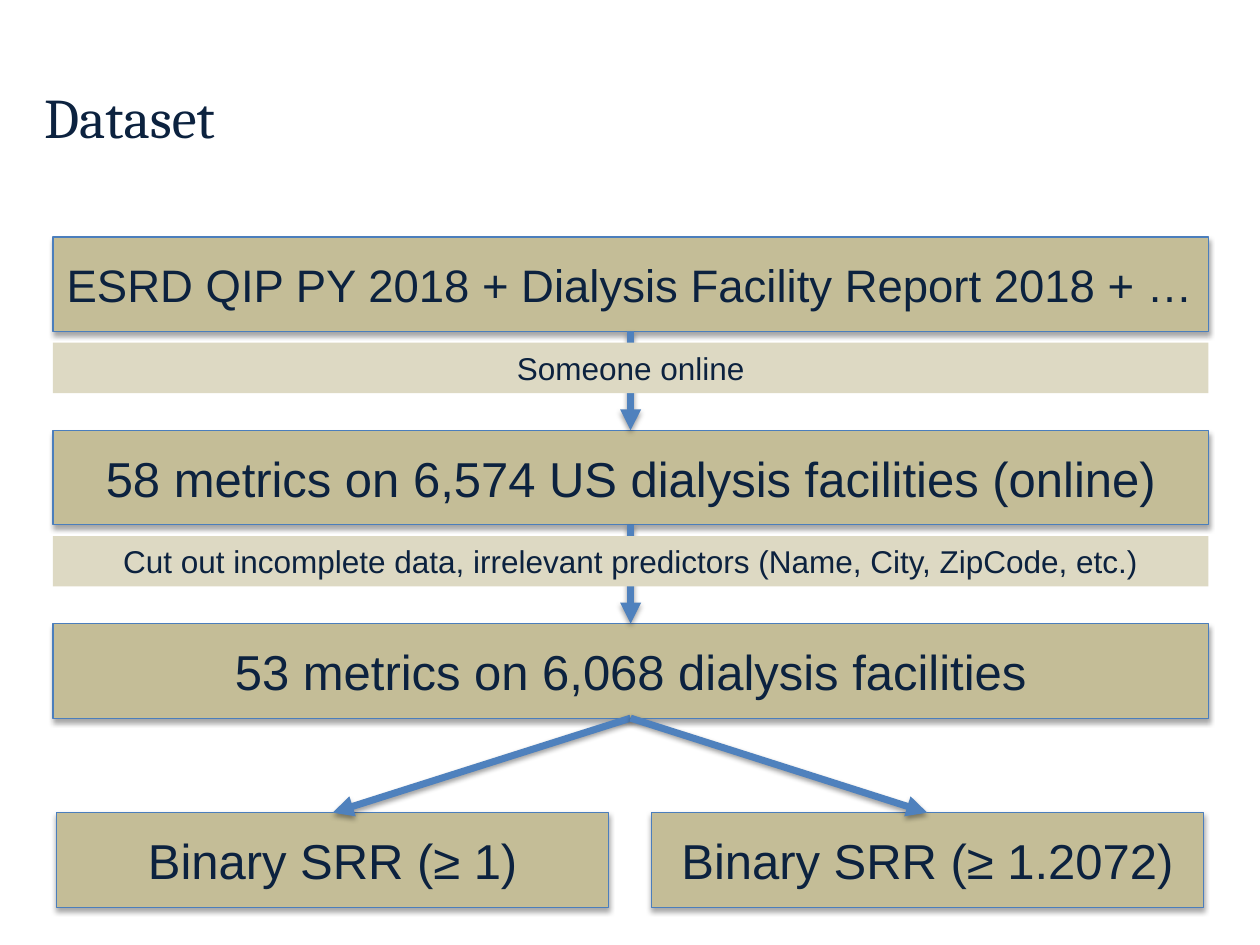
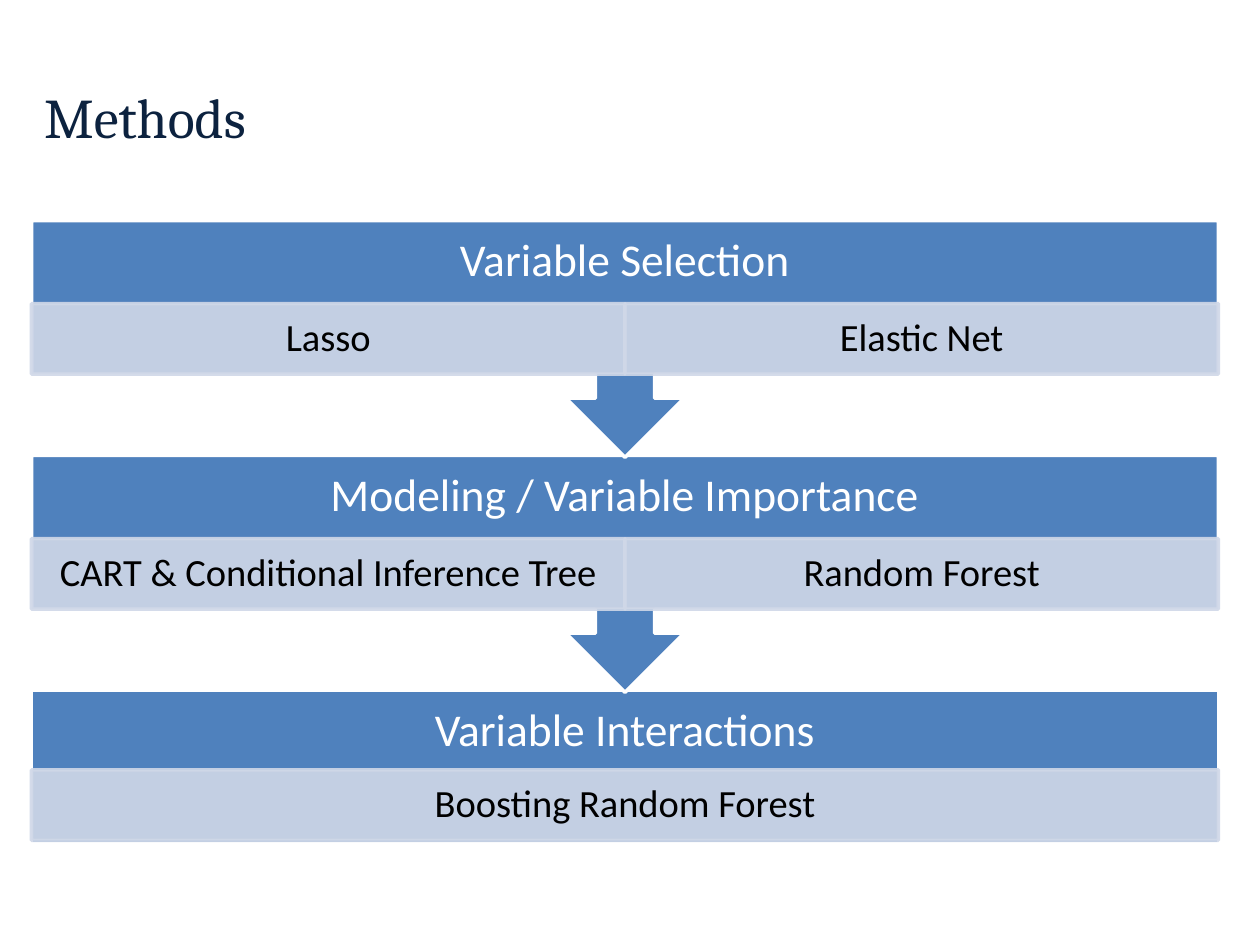
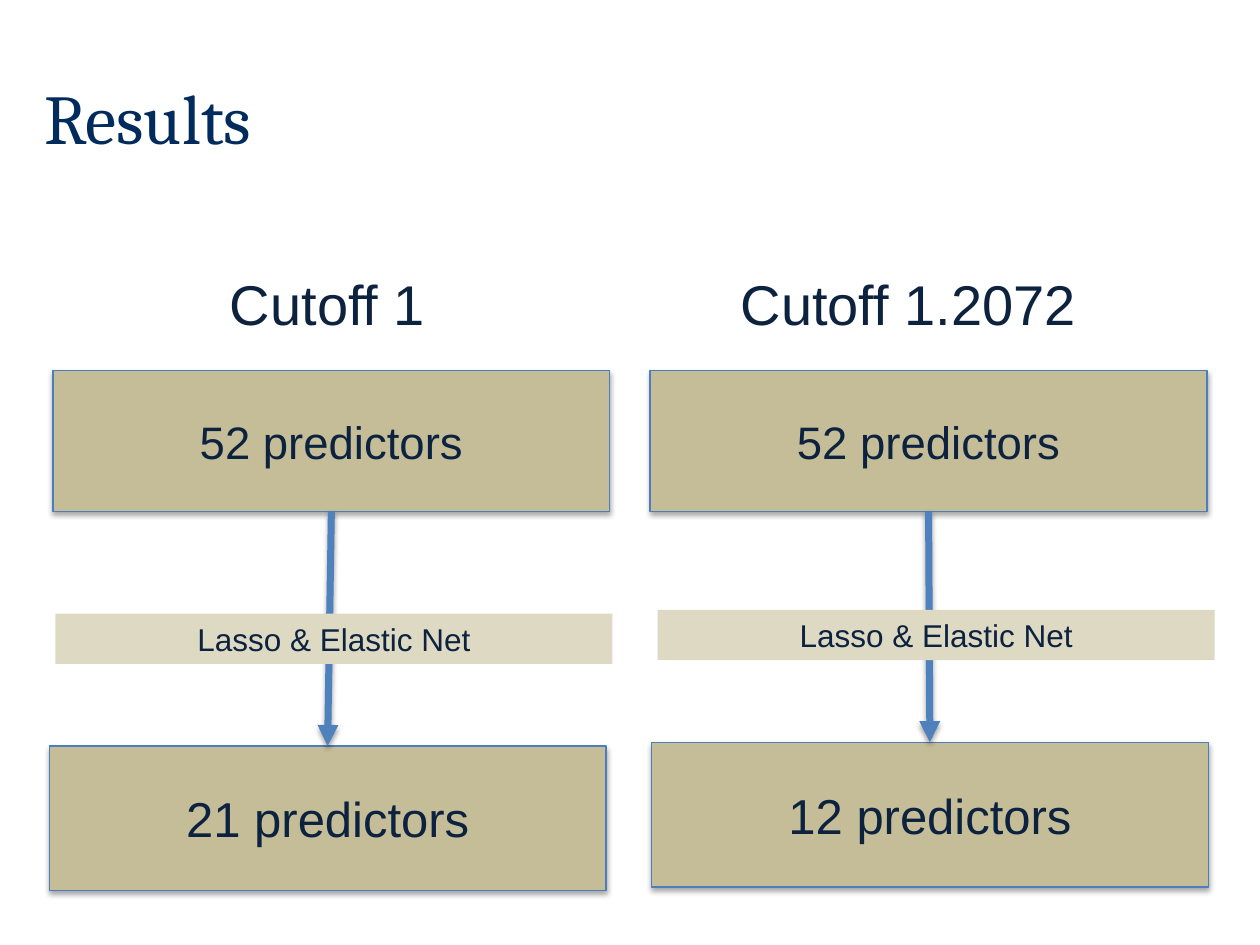
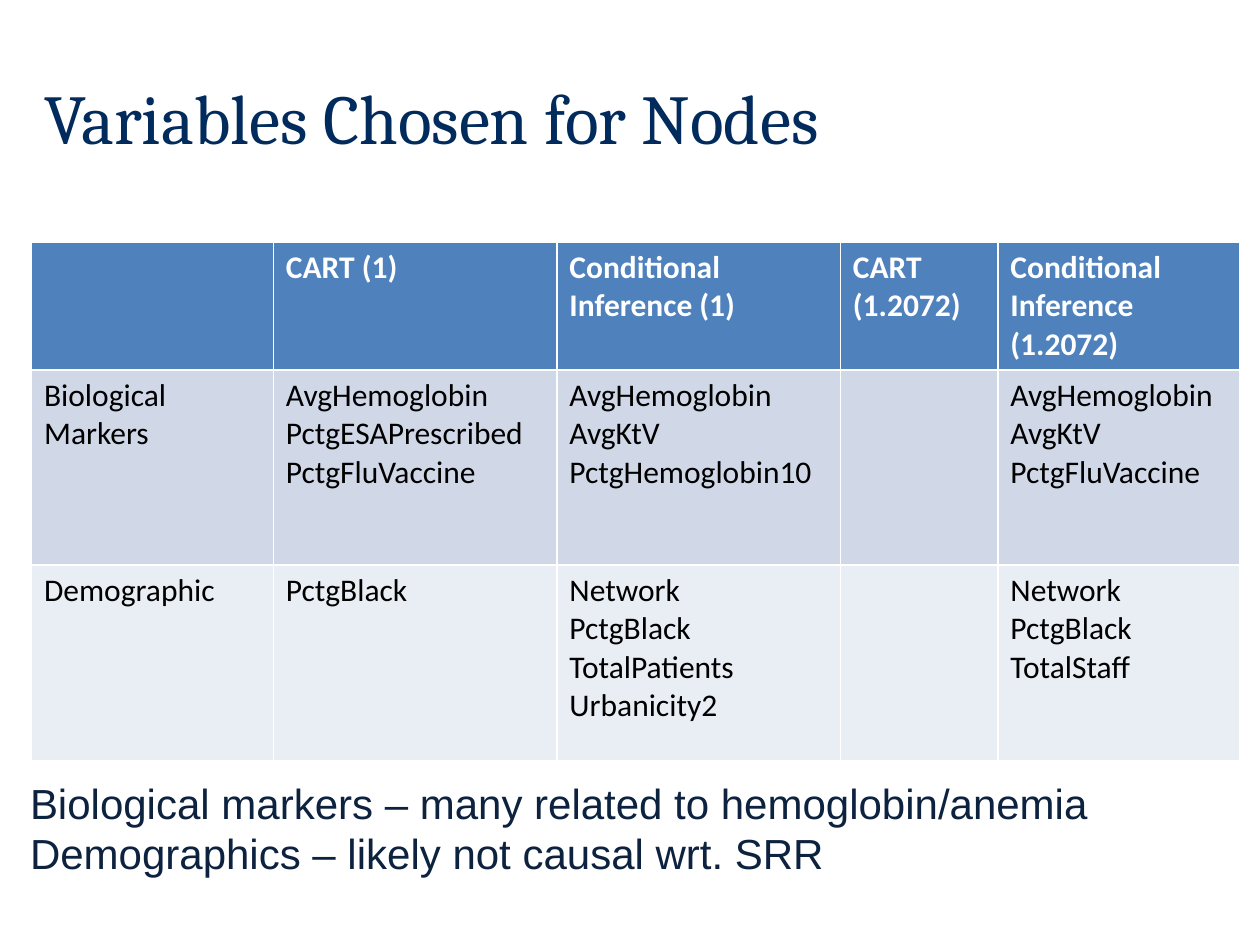
import lxml.etree
import pptx
import pptx.dml.color
import pptx.enum.shapes
import pptx.enum.text
import pptx.oxml.ns
import pptx.util

Inches = pptx.util.Inches
Pt = pptx.util.Pt
SHAPE = pptx.enum.shapes.MSO_SHAPE
ANCHOR = pptx.enum.text.MSO_ANCHOR
ALIGN = pptx.enum.text.PP_ALIGN
qn = pptx.oxml.ns.qn

NAVY, ROYAL, BLUE, EDGE = "0C223F", "002B5C", "4F81BD", "4B7EBC"
TAN, SAND, MIST, PALE = "C4BD97", "DDD9C3", "D0D8E8", "E9EDF4"
WHITE, BLACK = "FFFFFF", "000000"

TITLES = {
    "dataset": ("Dataset", 7.58, 32, NAVY),
    "methods": ("Methods", 7.58, 32, NAVY),
    "results": ("Results", 8, 40, ROYAL),
    "variables": ("Variables Chosen for Nodes", 8, 40, ROYAL),
}

# Dataset: text and size of each step, then the note on the arrow below it
DATA_STEPS = [
    ("ESRD QIP PY 2018 + Dialysis Facility Report 2018 + …", 26),
    ("58 metrics on 6,574 US dialysis facilities (online)", 28),
    ("53 metrics on 6,068 dialysis facilities", 28),
]
DATA_NOTES = [
    "Someone online",
    "Cut out incomplete data, irrelevant predictors (Name, City, ZipCode, etc.)",
]
OUTCOMES = ["Binary SRR (≥ 1)", "Binary SRR (≥ 1.2072)"]

STAGES = [
    ("Variable Selection", ["Lasso", "Elastic Net"]),
    ("Modeling / Variable Importance",
     ["CART & Conditional Inference Tree", "Random Forest"]),
    ("Variable Interactions", ["Boosting Random Forest"]),
]

# Results: (text, left, top) of each part of a column
CUTOFFS = [
    {"heading": ("Cutoff 1", 0.39, 2.09), "before": ("52 predictors", 0.42, 2.94),
     "method": ("Lasso & Elastic Net", 0.44, 4.87), "after": ("21 predictors", 0.39, 5.92)},
    {"heading": ("Cutoff 1.2072", 5, 2.09), "before": ("52 predictors", 5.16, 2.94),
     "method": ("Lasso & Elastic Net", 5.22, 4.84), "after": ("12 predictors", 5.17, 5.89)},
]

NODE_ROWS = [
    ["", "CART (1)", "Conditional Inference (1)", "CART (1.2072)",
     "Conditional Inference (1.2072)"],
    ["Biological Markers", "AvgHemoglobin\nPctgESAPrescribed\nPctgFluVaccine",
     "AvgHemoglobin\nAvgKtV\nPctgHemoglobin10", "",
     "AvgHemoglobin\nAvgKtV\nPctgFluVaccine"],
    ["Demographic", "PctgBlack", "Network\nPctgBlack\nTotalPatients\nUrbanicity2", "",
     "Network\nPctgBlack\nTotalStaff"],
]
NODE_WIDTHS = [1.92, 2.25, 2.25, 1.25, 1.92]
NODE_HEIGHTS = [0.82, 1.55, 1.55]
NODE_FILLS = [BLUE, MIST, PALE]
TAKEAWAYS = ("Biological markers – many related to hemoglobin/anemia\n"
             "Demographics – likely not causal wrt. SRR")


def rgb(color):
    return pptx.dml.color.RGBColor.from_string(color)


def write(frame, text, size, color=NAVY, face="Arial", align=ALIGN.CENTER,
          bold=False, spacing=None):
    frame.text = text
    for paragraph in frame.paragraphs:
        paragraph.alignment = align
        paragraph.line_spacing = spacing
        for name, value in {"size": Pt(size), "name": face, "bold": bold}.items():
            setattr(paragraph.font, name, value)
        paragraph.font.color.rgb = rgb(color)


def set_frame(frame, anchor, margins=(0.1, 0.05)):
    across, down = (Inches(margin) for margin in margins)
    for name, value in {"word_wrap": True, "vertical_anchor": anchor,
                        "margin_left": across, "margin_right": across,
                        "margin_top": down, "margin_bottom": down}.items():
        setattr(frame, name, value)


def add_shadow(effects, alpha, distance):
    shadow = lxml.etree.SubElement(
        effects, qn("a:outerShdw"), blurRad=str(Pt(3.1)), dist=str(Pt(distance)),
        dir="5400000", rotWithShape="0")
    color = lxml.etree.SubElement(shadow, qn("a:srgbClr"), val=BLACK)
    lxml.etree.SubElement(color, qn("a:alpha"), val=str(alpha * 1000))


def add_block(slide, at, fill, line=None, width=0.75, kind=SHAPE.RECTANGLE):
    shape = slide.shapes.add_shape(kind, *map(Inches, at))
    shape.shadow.inherit = False
    shape.fill.solid()
    shape.fill.fore_color.rgb = rgb(fill)
    if line:
        shape.line.color.rgb = rgb(line)
        shape.line.width = Pt(width)
    else:
        shape.line.fill.background()
    return shape


def add_step(slide, at, text, size):
    step = add_block(slide, at, TAN, EDGE)
    add_shadow(step._element.spPr.find(qn("a:effectLst")), 35, 1.8)
    set_frame(step.text_frame, ANCHOR.MIDDLE)
    write(step.text_frame, text, size)
    return step


def add_note(slide, left, top, width, text):
    note = add_block(slide, (left, top, width, 0.4), SAND)
    set_frame(note.text_frame, ANCHOR.TOP)
    write(note.text_frame, text, 18)


def add_text(slide, at, text, size, anchor=ANCHOR.TOP, margins=(0.1, 0.05), **style):
    box = slide.shapes.add_textbox(*map(Inches, at))
    set_frame(box.text_frame, anchor, margins)
    write(box.text_frame, text, size, **style)


def join(slide, upper, lower):
    """Draw an arrow from the bottom of one step to the top of another."""
    arrow = slide.shapes.add_connector(
        pptx.enum.shapes.MSO_CONNECTOR.STRAIGHT, 0, 0, 0, 0)
    arrow.begin_connect(upper, 2)
    arrow.end_connect(lower, 0)
    arrow.line.color.rgb = rgb(BLUE)
    arrow.line.width = Pt(4)
    properties = arrow._element.spPr
    lxml.etree.SubElement(properties.find(qn("a:ln")), qn("a:tailEnd"), type="triangle")
    add_shadow(lxml.etree.SubElement(properties, qn("a:effectLst")), 38, 1.6)


def add_slide(deck, key):
    text, width, size, color = TITLES[key]
    slide = deck.slides.add_slide(deck.slide_layouts[5])
    title = slide.shapes.title
    for name, value in {"left": 0.25, "top": 0.3, "width": width, "height": 1.25}.items():
        setattr(title, name, Inches(value))
    set_frame(title.text_frame, ANCHOR.MIDDLE)
    write(title.text_frame, text, size, color, "Cambria", ALIGN.LEFT)
    return slide


def build_dataset(deck):
    slide = add_slide(deck, "dataset")
    left, top, width, height, pitch = 0.42, 1.88, 9.17, 0.75, 1.535
    steps = [add_step(slide, (left, top + i * pitch, width, height), *step)
             for i, step in enumerate(DATA_STEPS)]
    outcomes = [add_step(slide, (0.45 + i * 4.72, 6.45, 4.38, height), text, 28)
                for i, text in enumerate(OUTCOMES)]
    for i, note in enumerate(DATA_NOTES):
        join(slide, steps[i], steps[i + 1])
        add_note(slide, left, 2.72 + i * pitch, width, note)
    for outcome in outcomes:
        join(slide, steps[-1], outcome)


def build_methods(deck):
    slide = add_slide(deck, "methods")
    left, top, width, pitch = 0.25, 1.75, 9.42, 1.865
    last = len(STAGES) - 1
    for i, (stage, methods) in reversed(list(enumerate(STAGES))):
        y = top + i * pitch
        if i == last:
            add_block(slide, (left, y, width, 1.22), BLUE, WHITE, 2)
        else:
            callout = add_block(slide, (left, y, width, 1.88), BLUE, WHITE, 2,
                                SHAPE.UP_ARROW_CALLOUT)
            callout.rotation = 180
        add_text(slide, (left, y, width, 0.66), stage, 26, ANCHOR.MIDDLE, (0.2, 0.2),
                 color=WHITE, face="Calibri", spacing=0.9)
        share = width / len(methods)
        method_top = y + (0.63 if i == last else 0.66)
        for j, method in enumerate(methods):
            cell = add_block(slide, (left + j * share, method_top, share, 0.56),
                             MIST, MIST, 2)
            for color in cell._element.spPr.iter(qn("a:srgbClr")):
                lxml.etree.SubElement(color, qn("a:alpha"), val="90000")
            set_frame(cell.text_frame, ANCHOR.MIDDLE, (0.17, 0.03))
            write(cell.text_frame, method, 22, BLACK, "Calibri", spacing=0.9)


def build_results(deck):
    slide = add_slide(deck, "results")
    width = 4.42
    for cutoff in CUTOFFS:
        text, left, top = cutoff["after"]
        after = add_step(slide, (left, top, width, 1.15), text, 28)
        text, left, top = cutoff["before"]
        before = add_step(slide, (left, top, width, 1.12), text, 26)
        join(slide, before, after)
        text, left, top = cutoff["method"]
        add_note(slide, left, top, width, text)
        text, left, top = cutoff["heading"]
        add_text(slide, (left, top, width, 0.64), text, 32)


def build_variables(deck):
    slide = add_slide(deck, "variables")
    nodes = slide.shapes.add_table(
        len(NODE_ROWS), len(NODE_WIDTHS), Inches(0.25), Inches(1.92),
        Inches(sum(NODE_WIDTHS)), Inches(sum(NODE_HEIGHTS))).table
    for column, width in zip(nodes.columns, NODE_WIDTHS):
        column.width = Inches(width)
    for i, texts in enumerate(NODE_ROWS):
        nodes.rows[i].height = Inches(NODE_HEIGHTS[i])
        for j, text in enumerate(texts):
            cell = nodes.cell(i, j)
            cell.fill.solid()
            cell.fill.fore_color.rgb = rgb(NODE_FILLS[i])
            write(cell.text_frame, text, 18, BLACK if i else WHITE, "Calibri",
                  ALIGN.LEFT, bold=i == 0)
    add_text(slide, (0.14, 6.12, 9.73, 0.91), TAKEAWAYS, 24, align=ALIGN.LEFT)


def main():
    deck = pptx.Presentation()
    deck.slide_width, deck.slide_height = Inches(10), Inches(7.5)
    for build in (build_dataset, build_methods, build_results, build_variables):
        build(deck)
    deck.save("out.pptx")


if __name__ == "__main__":
    main()
